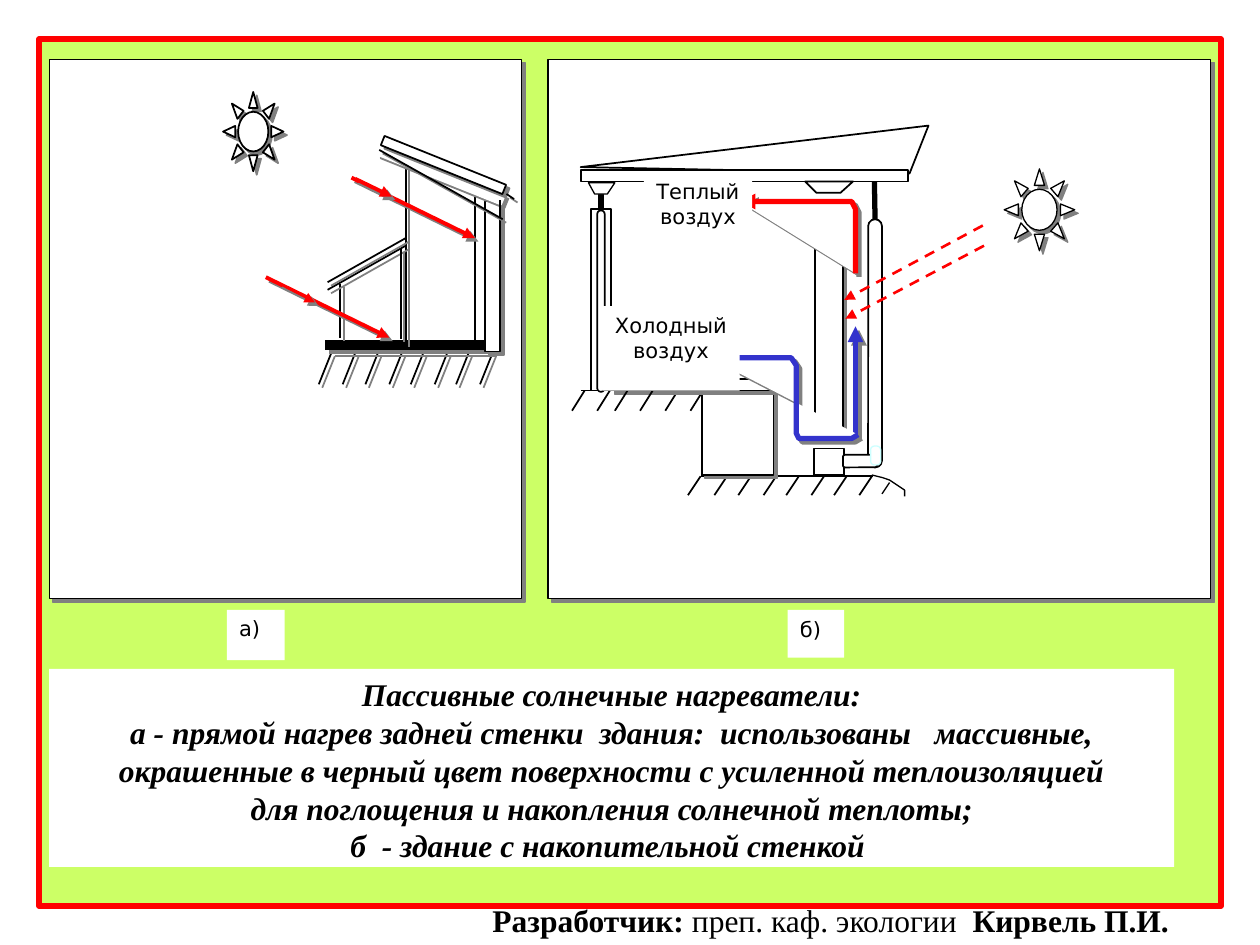
from lxml import etree
from pptx import Presentation
from pptx.dml.color import RGBColor
from pptx.enum.dml import MSO_LINE
from pptx.enum.shapes import MSO_CONNECTOR, MSO_SHAPE
from pptx.enum.text import MSO_ANCHOR, MSO_AUTO_SIZE, PP_ALIGN
from pptx.oxml.ns import qn
from pptx.util import Cm, Pt

BLACK = RGBColor(0, 0, 0)
WHITE = RGBColor(255, 255, 255)
LIME = RGBColor(0xCC, 0xFF, 0x66)
RED = RGBColor(255, 0, 0)
BLUE = RGBColor(0x33, 0x33, 0xCC)
PALE_CYAN = RGBColor(0xCC, 0xFF, 0xFF)
SHADOW = "808080"

RECT = MSO_SHAPE.RECTANGLE
ROUND = MSO_SHAPE.ROUNDED_RECTANGLE
TRIANGLE = MSO_SHAPE.ISOSCELES_TRIANGLE
SUN = MSO_SHAPE.SUN
STRAIGHT = MSO_CONNECTOR.STRAIGHT
DASH = MSO_LINE.DASH
LEFT = PP_ALIGN.LEFT
CENTER = PP_ALIGN.CENTER
TOP = MSO_ANCHOR.TOP
GROW = MSO_AUTO_SIZE.SHAPE_TO_FIT_TEXT

SERIF = "Times New Roman"
SANS = "DejaVu Sans"


def cm(*inches):
    return [Cm(v * 2.54) for v in inches]


class Drawing:
    def __init__(self, prs):
        self.s = prs.slides.add_slide(prs.slide_layouts[6])

    def outline(self, sp, color, width, shadow, arrow=False, dash=None):
        if color is None:
            sp.line.fill.background()
        else:
            sp.line.color.rgb = color
            sp.line.width = Pt(width)
        if dash is not None:
            sp.line.dash_style = dash
        spPr = sp._element.spPr
        if arrow:
            etree.SubElement(spPr.find(qn("a:ln")), qn("a:tailEnd"), type="triangle")
        effects = etree.SubElement(spPr, qn("a:effectLst"))
        if shadow:
            outer = etree.SubElement(effects, qn("a:outerShdw"), dist=str(Pt(2.8)),
                                     dir="2700000", algn="ctr", rotWithShape="0")
            etree.SubElement(outer, qn("a:srgbClr"), val=SHADOW)

    def shape(self, kind, x, y, w, h, color=BLACK, width=1, fill=WHITE,
              shadow=False, rot=0, adj=None):
        sp = self.s.shapes.add_shape(kind, *cm(x, y, w, h))
        sp.rotation = rot
        if adj is not None:
            sp.adjustments[0] = adj
        sp.fill.solid()
        sp.fill.fore_color.rgb = fill
        self.outline(sp, color, width, shadow)
        return sp

    def line(self, x1, y1, x2, y2, color=BLACK, width=1, shadow=False,
             arrow=False, dash=None):
        sp = self.s.shapes.add_connector(STRAIGHT, *cm(x1, y1, x2, y2))
        self.outline(sp, color, width, shadow, arrow, dash)
        return sp

    def hatch(self, tops, y, dx, dy, shadow=False):
        for x in tops:
            self.line(x - dx, y + dy, x, y, shadow=shadow)

    def free(self, points, color=BLACK, width=0.75, close=False, shadow=False,
             arrow=False):
        start, *rest = [cm(*point) for point in points]
        builder = self.s.shapes.build_freeform(*start)
        builder.add_line_segments(rest, close=close)
        sp = builder.convert_to_shape()
        sp.fill.solid()
        sp.fill.fore_color.rgb = WHITE
        self.outline(sp, color, width, shadow, arrow)

    def font(self, r, size, name, bold=False, italic=False):
        r.font.size = Pt(size)
        r.font.name = name
        r.font.bold = bold
        r.font.italic = italic
        r.font.color.rgb = BLACK

    def label(self, x, y, w, h, lines, align=CENTER, size=12, name=SANS,
              bold=False, italic=False):
        tf = self.shape(RECT, x, y, w, h, color=None).text_frame
        tf.word_wrap = True
        tf.vertical_anchor = TOP
        tf.text = "\n".join(lines)
        for p in tf.paragraphs:
            p.alignment = align
            self.font(p.runs[0], size, name, bold, italic)

    def credit(self, x, y, w, h, parts):
        tf = self.s.shapes.add_textbox(*cm(x, y, w, h)).text_frame
        tf.word_wrap = True
        tf.auto_size = GROW
        for text, bold in parts:
            r = tf.paragraphs[0].add_run()
            r.text = text
            self.font(r, 18, SERIF, bold)


def draw_direct_heating(d):
    d.shape(RECT, 0.39, 0.47, 3.75, 4.28, width=0.75, shadow=True)
    d.shape(RECT, 3.77, 1.56, 0.12, 1.19, shadow=True)
    d.hatch((2.63, 2.82, 3, 3.19, 3.36, 3.55, 3.72, 3.91), 2.8, 0.1, 0.25, shadow=True)
    d.line(2.63, 2.8, 3.92, 2.8, shadow=True)
    d.line(2.58, 2.74, 3.85, 2.74, width=6, shadow=True)
    d.shape(RECT, 3.85, 1.6, 0.12, 1.19, shadow=True)
    d.line(3.22, 1.27, 3.22, 2.73, shadow=True)
    d.shape(RECT, 2.97, 1.35, 1.06, 0.08, color=WHITE, shadow=True, rot=21.9)
    d.line(3.01, 1.19, 3.99, 1.74, shadow=True)
    d.line(3.97, 1.72, 3.97, 1.59, shadow=True)
    d.shape(RECT, 3, 1.27, 1.04, 0.08, shadow=True, rot=21.9)
    for ends in ((4.02, 1.54, 4.08, 1.58), (2.7, 2.68, 2.7, 2.25),
                 (2.6, 2.3, 3.22, 1.95), (2.6, 2.24, 3.22, 1.89),
                 (3.18, 1.97, 3.18, 2.69)):
        d.line(*ends, shadow=True)
    for ends, width in (((2.79, 1.41, 3.77, 1.89), 2.25), ((2.82, 1.42, 3.11, 1.56), 2.25),
                        ((2.11, 2.2, 3.09, 2.68), 2.25), ((2.21, 2.25, 2.5, 2.4), 1)):
        d.line(*ends, color=RED, width=width, shadow=True, arrow=True)
    d.shape(SUN, 1.77, 0.73, 0.48, 0.63, shadow=True, adj=0.25)
    d.label(1.8, 4.84, 0.46, 0.4, ["а)"], align=LEFT)


def draw_storage_wall(d):
    d.shape(RECT, 4.35, 0.47, 5.26, 4.28, width=0.75, shadow=True)
    d.shape(RECT, 4.69, 1.66, 0.16, 1.44)
    d.shape(TRIANGLE, 4.62, 1.16, 2.78, 0.36, rot=173.2, adj=0.07)
    d.line(5.56, 3.78, 6.93, 3.78)
    d.hatch((5.56, 5.77, 5.96, 6.16, 6.34, 6.54, 6.72, 6.92), 3.78, 0.1, 0.15)
    d.line(4.61, 3.1, 5.98, 3.1)
    d.hatch((4.64, 4.84, 5.38, 5.58), 3.1, 0.1, 0.16)
    d.shape(RECT, 5.57, 3.1, 0.57, 0.67, shadow=True)
    d.shape(RECT, 4.85, 3.01, 1.29, 0.09, shadow=True)
    d.hatch((4.98, 5.18), 3.1, 0.1, 0.16)
    post = d.shape(ROUND, 4.74, 1.67, 0.06, 1.44, adj=0.5)
    d.line(4.77, 1.67, 4.77, 1.51, width=3).begin_connect(post, 0)
    d.shape(RECT, 6.46, 3.56, 0.24, 0.21, width=0.75)
    d.shape(RECT, 6.47, 1.7, 0.22, 1.72, shadow=True)
    d.shape(RECT, 4.61, 1.35, 2.6, 0.09)
    d.free([(4.67, 1.45), (4.72, 1.54), (4.82, 1.54), (4.88, 1.45)], close=True)
    d.free([(6.39, 1.44), (6.48, 1.53), (6.67, 1.53), (6.77, 1.44)], width=1, close=True)
    pipe = d.shape(ROUND, 6.89, 1.74, 0.11, 1.97, adj=0.5)
    d.line(6.94, 1.74, 6.94, 1.44, width=3).begin_connect(pipe, 0)
    d.shape(ROUND, 6.69, 3.61, 0.27, 0.1, adj=0.17)
    d.shape(ROUND, 6.91, 3.54, 0.08, 0.15, color=PALE_CYAN, width=0.75, adj=0.36)
    d.line(6.79, 3.47, 6.79, 2.59, color=BLUE, width=3, shadow=True, arrow=True)
    d.free([(5.63, 2.84), (6.28, 2.84), (6.32, 2.9), (6.32, 3.44), (6.34, 3.48),
            (6.76, 3.48), (6.81, 3.45)], color=BLUE, width=3, shadow=True)
    d.free([(6.79, 2.17), (6.79, 1.66), (6.76, 1.6), (5.87, 1.6)],
           color=RED, width=3, shadow=True, arrow=True)
    d.shape(SUN, 7.97, 1.34, 0.56, 0.65, width=0.75, shadow=True, adj=0.25)
    for ends in ((7.8, 1.79, 6.7, 2.38), (7.81, 1.95, 6.71, 2.53)):
        d.line(*ends, color=RED, width=1.5, arrow=True, dash=DASH)
    d.free([(6.92, 3.77), (7, 3.79), (7.06, 3.81), (7.18, 3.89), (7.18, 3.94)])
    d.line(7, 3.92, 7.06, 3.83, width=0.75)
    d.label(5.11, 1.37, 0.86, 0.67, ["Теплый", "воздух"])
    d.label(4.78, 2.43, 1.09, 0.67, ["Холодный", "воздух"])
    d.label(6.25, 4.84, 0.45, 0.38, ["б)"], align=LEFT)


def main():
    prs = Presentation()
    prs.slide_width, prs.slide_height = cm(10, 7.5)
    d = Drawing(prs)
    d.shape(RECT, 0.31, 0.31, 9.38, 6.88, color=RED, width=3.35, fill=LIME)
    d.label(0.39, 5.31, 8.93, 1.57, [
        "Пассивные солнечные нагреватели:",
        "а - прямой нагрев задней стенки  здания:  использованы   массивные,",
        "окрашенные в черный цвет поверхности с усиленной теплоизоляцией",
        "для поглощения и накопления солнечной теплоты;",
        "б  - здание с накопительной стенкой ",
    ], size=18, name=SERIF, bold=True, italic=True)
    draw_direct_heating(d)
    draw_storage_wall(d)
    d.credit(3.81, 7.1, 5.88, 0.4, [("Разработчик:", True),
                                    (" преп. каф. экологии  ", False),
                                    ("Кирвель П.И.", True)])
    prs.save("out.pptx")


if __name__ == "__main__":
    main()
